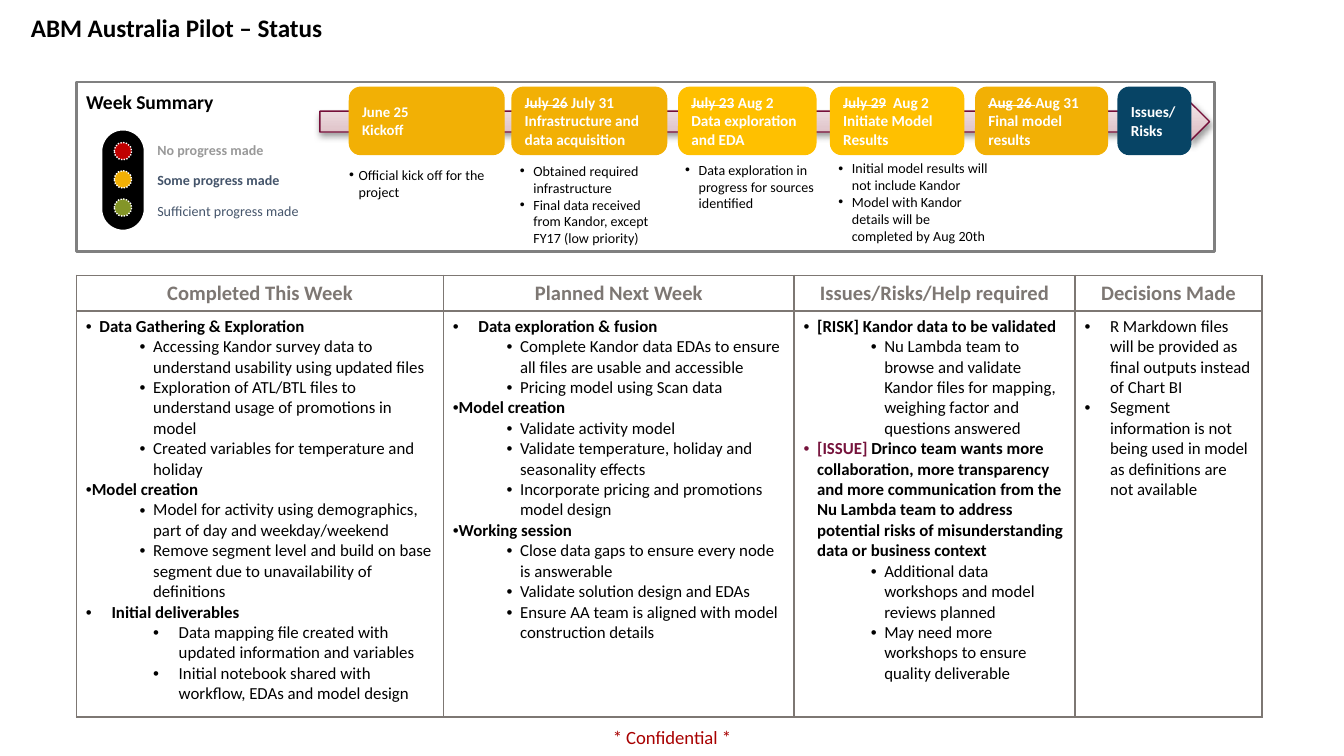
from lxml.etree import SubElement
from pptx import Presentation
from pptx.dml.color import RGBColor
from pptx.enum.dml import MSO_LINE
from pptx.enum.shapes import MSO_SHAPE
from pptx.enum.text import MSO_ANCHOR, PP_ALIGN
from pptx.oxml import parse_xml
from pptx.oxml.ns import qn
from pptx.util import Inches, Pt

BLACK = RGBColor(0, 0, 0)
WHITE = RGBColor(255, 255, 255)
AMBER = RGBColor(0xF2, 0xB0, 0x05)
GOLD = RGBColor(0xFF, 0xC0, 0x00)
NAVY = RGBColor(0x07, 0x44, 0x65)
RED = RGBColor(0xC0, 0x00, 0x00)
GREEN = RGBColor(0x83, 0x95, 0x27)
WINE = RGBColor(0x75, 0x0F, 0x39)
PLUM = RGBColor(0x75, 0x12, 0x3B)
BRICK = RGBColor(0xA8, 0x00, 0x00)
STONE = RGBColor(0x7D, 0x77, 0x73)
GREY = RGBColor(0x80, 0x80, 0x80)
PALE = RGBColor(0x99, 0x99, 0x99)
SLATE = RGBColor(0x44, 0x54, 0x6A)
DRAW = 'xmlns:a="http://schemas.openxmlformats.org/drawingml/2006/main"'

# left, width, fill, struck date, date, stage, text size
STAGES = [
    (2.6, 1.15, AMBER, "", "June 25", "Kickoff", 7.9),
    (3.81, 1.15, AMBER, "July 26", " July 31", "Infrastructure and data acquisition", 8.2),
    (5.05, 1.02, GOLD, "July 23", " Aug 2", "Data exploration and EDA", 8.2),
    (6.18, 0.99, GOLD, "July 29", "  Aug 2", "Initiate Model Results", 8.2),
    (7.26, 0.98, AMBER, "Aug 26 ", "Aug 31", "Final model results", 8.2),
    (8.32, 0.54, NAVY, "", "", "Issues/ Risks", 8.2),
]

# left, top, width, height, indent, points
NOTES = [
    (2.5, 1.19, 1.28, 0.35, 0.07, ["Official kick off for the project"]),
    (3.77, 1.16, 1.24, 0.73, 0.1, [
        "Obtained required infrastructure",
        "Final data received from Kandor, except FY17 (low priority)"]),
    (5, 1.15, 1.19, 0.48, 0.1, ["Data exploration in progress for sources identified"]),
    (6.14, 1.14, 1.33, 0.73, 0.1, [
        "Initial model results will not include Kandor",
        "Model with Kandor details will be completed by Aug 20th"]),
]

# kind: level, left margin, hanging indent, bold
KINDS = {
    "head": (0, 0.1, 0.1, True),
    "flush": (0, 0, 0.1, True),
    "wide": (0, 0.19, 0.19, True),
    "plain": (0, 0.19, 0.19, False),
    "sub": (1, 0.5, 0.1, False),
    "deep": (1, 0.69, 0.19, False),
    "risk": (1, 0.6, 0.1, False),
}

# header, width, points
COLUMNS = [
    ("Completed This Week", 2.73, [
        ("head", "Data Gathering & Exploration"),
        ("sub", "Accessing Kandor survey data to understand usability using updated files"),
        ("sub", "Exploration of ATL/BTL files to understand usage of promotions in model"),
        ("sub", "Created variables for temperature and holiday"),
        ("flush", "Model creation"),
        ("sub", "Model for activity using demographics, part of day and weekday/weekend"),
        ("sub", "Remove segment level and build on base segment due to unavailability of definitions"),
        ("wide", "Initial deliverables"),
        ("deep", "Data mapping file created with updated information and variables"),
        ("deep", "Initial notebook shared with workflow, EDAs and model design")]),
    ("Planned Next Week", 2.61, [
        ("wide", "Data exploration & fusion"),
        ("sub", "Complete Kandor data EDAs to ensure all files are usable and accessible"),
        ("sub", "Pricing model using Scan data"),
        ("flush", "Model creation"),
        ("sub", "Validate activity model"),
        ("sub", "Validate temperature, holiday and seasonality effects"),
        ("sub", "Incorporate pricing and promotions model design"),
        ("flush", "Working session"),
        ("sub", "Close data gaps to ensure every node is answerable"),
        ("sub", "Validate solution design and EDAs"),
        ("sub", "Ensure AA team is aligned with model construction details")]),
    ("Issues/Risks/Help required", 2.09, [
        ("head", "[RISK] Kandor data to be validated"),
        ("risk", "Nu Lambda team to browse and validate Kandor files for mapping, "
                 "weighing factor and questions answered"),
        ("head", "[ISSUE] ", "Drinco team wants more collaboration, more transparency and more "
                 "communication from the Nu Lambda team to address potential risks of "
                 "misunderstanding data or business context"),
        ("risk", "Additional data workshops and model reviews planned"),
        ("risk", "May need more workshops to ensure quality deliverable")]),
    ("Decisions Made", 1.39, [
        ("plain", "R Markdown files will be provided as final outputs instead of Chart BI"),
        ("plain", "Segment information is not being used in model as definitions are not available")]),
]


def add_run(para, text, size, color=BLACK, bold=False, strike=False):
    run = para.add_run()
    run.text = text
    font = run.font
    font.name, font.size, font.bold = "Calibri", Pt(size), bold
    font.color.rgb = color
    if strike:
        font._element.set("strike", "sngStrike")


def next_para(frame, index):
    return frame.add_paragraph() if index else frame.paragraphs[0]


def add_bullet(para, left, hang):
    props = para._p.get_or_add_pPr()
    props.set("marL", str(Inches(left)))
    props.set("indent", str(-Inches(hang)))
    SubElement(props, qn("a:buFont")).set("typeface", "Arial")
    SubElement(props, qn("a:buChar")).set("char", "•")


def set_inset(item, side=0.07, top=0.04):
    item.margin_left = item.margin_right = Inches(side)
    item.margin_top = item.margin_bottom = Inches(top)


def add_box(slide, kind, box, fill=None, line=None, width=0.75):
    shape = slide.shapes.add_shape(kind, *map(Inches, box))
    shape.shadow.inherit = False
    if fill is None:
        shape.fill.background()
    else:
        shape.fill.solid()
        shape.fill.fore_color.rgb = fill
    shape.line.color.rgb = line
    shape.line.width = Pt(width)
    return shape


def add_text(slide, box, side=0.1, top=0.05):
    frame = slide.shapes.add_textbox(*map(Inches, box)).text_frame
    frame.word_wrap = True
    set_inset(frame, side, top)
    return frame


def add_title(slide):
    title = slide.shapes.title
    title.left, title.top, title.width, title.height = map(Inches, (0.13, 0.07, 8.97, 0.41))
    frame = title.text_frame
    frame.vertical_anchor = MSO_ANCHOR.TOP
    para = frame.paragraphs[0]
    para.alignment, para.line_spacing = PP_ALIGN.LEFT, 0.9
    add_run(para, "ABM Australia Pilot – Status", 13.5, bold=True)


def add_arrow(slide):
    arrow = add_box(slide, MSO_SHAPE.RIGHT_ARROW, (2.38, 0.75, 6.62, 0.31), WHITE, WINE)
    props = arrow._element.spPr
    stops = "".join(f'<a:gs pos="{pos}000"><a:srgbClr val="{tint}"/></a:gs>' for pos, tint in
                    ((0, "D7B0B8"), (35, "E2C8CD"), (100, "F4EAEC")))
    props.replace(props.find(qn("a:solidFill")), parse_xml(
        f'<a:gradFill {DRAW}><a:gsLst>{stops}</a:gsLst><a:lin ang="16200000" scaled="0"/></a:gradFill>'))
    props.replace(props.find(qn("a:effectLst")), parse_xml(
        f'<a:effectLst {DRAW}><a:outerShdw blurRad="40000" dist="20000" dir="5400000" rotWithShape="0">'
        '<a:srgbClr val="000000"><a:alpha val="38000"/></a:srgbClr></a:outerShdw></a:effectLst>'))


def add_legend(slide):
    frame = add_text(slide, (0.57, 0.63, 2.25, 1.25), 0.07, 0.04)
    add_run(frame.paragraphs[0], "Week Summary", 10.5, bold=True)
    # Traffic light
    light = add_box(slide, MSO_SHAPE.ROUNDED_RECTANGLE, (0.74, 0.95, 0.35, 0.78), BLACK, WHITE, 3)
    light.adjustments[0] = 0.5
    for row, color in enumerate((RED, AMBER, GREEN)):
        lamp = add_box(slide, MSO_SHAPE.OVAL, (0.85, 1.06 + 0.21 * row, 0.13, 0.13), color, WHITE)
        lamp.line.dash_style = MSO_LINE.ROUND_DOT
    # Labels
    frame = add_text(slide, (1.1, 1.01, 1.61, 0.76), 0.07, 0.04)
    labels = (("No", PALE, True), ("Some", SLATE, True), ("Sufficient", SLATE, False))
    for row, (word, color, bold) in enumerate(labels):
        para = next_para(frame, row)
        if row:
            para.space_before = Pt(7.3)
        add_run(para, f"{word} progress made", 7.5, color, bold)


def add_stage(slide, left, width, color, old, date, name, size):
    shape = add_box(slide, MSO_SHAPE.ROUNDED_RECTANGLE, (left, 0.65, width, 0.5), color, color)
    frame = shape.text_frame
    frame.word_wrap = True
    frame.vertical_anchor = MSO_ANCHOR.MIDDLE
    set_inset(frame)
    rows = [[(old, True), (date, False)]] if date else []
    for index, parts in enumerate(rows + [[(name, False)]]):
        para = next_para(frame, index)
        para.alignment = PP_ALIGN.LEFT
        for text, strike in parts:
            if text:
                add_run(para, text, size, WHITE, True, strike)


def add_note(slide, left, top, width, height, hang, points):
    frame = add_text(slide, (left, top, width, height))
    for index, text in enumerate(points):
        para = next_para(frame, index)
        add_bullet(para, hang, hang)
        add_run(para, text, 7.5)


def style_cell(cell):
    set_inset(cell)
    props = cell._tc.get_or_add_tcPr()
    for side in "LRTB":
        props.append(parse_xml(f'<a:ln{side} {DRAW} w="12700"><a:solidFill>'
                               f'<a:srgbClr val="{STONE}"/></a:solidFill></a:ln{side}>'))
    cell.fill.background()


def add_grid(slide):
    table = slide.shapes.add_table(2, 4, *map(Inches, (0.57, 2.05, 8.82, 3.27))).table
    table.first_row = table.horz_banding = False
    table.rows[0].height, table.rows[1].height = Inches(0.25), Inches(3.02)
    for col, (name, width, points) in enumerate(COLUMNS):
        table.columns[col].width = Inches(width)
        head, body = table.cell(0, col), table.cell(1, col)
        style_cell(head)
        style_cell(body)
        head.vertical_anchor = MSO_ANCHOR.MIDDLE
        para = head.text_frame.paragraphs[0]
        para.alignment = PP_ALIGN.CENTER
        add_run(para, name, 11, STONE, True)
        for index, (kind, *parts) in enumerate(points):
            level, left, hang, bold = KINDS[kind]
            para = next_para(body.text_frame, index)
            para.level = level
            add_bullet(para, left, hang)
            for text in parts:
                add_run(para, text, 9, PLUM if text == "[ISSUE] " else BLACK, bold)


def main():
    # Widescreen 16:9
    deck = Presentation()
    deck.slide_width = Inches(10)
    deck.slide_height = Inches(10) * 9 // 16
    slide = deck.slides.add_slide(deck.slide_layouts[5])
    add_title(slide)
    # Week summary
    add_arrow(slide)
    add_legend(slide)
    for stage in STAGES:
        add_stage(slide, *stage)
    add_box(slide, MSO_SHAPE.RECTANGLE, (0.57, 0.61, 8.47, 1.26), line=GREY, width=1.5)
    for note in NOTES:
        add_note(slide, *note)
    # Status table and footer
    add_grid(slide)
    foot = add_text(slide, (4.4, 5.34, 1.2, 0.29), 0, 0)
    foot.vertical_anchor = MSO_ANCHOR.MIDDLE
    foot.paragraphs[0].alignment = PP_ALIGN.CENTER
    add_run(foot.paragraphs[0], "* Confidential *", 10, BRICK)
    deck.save("out.pptx")


if __name__ == "__main__":
    main()
